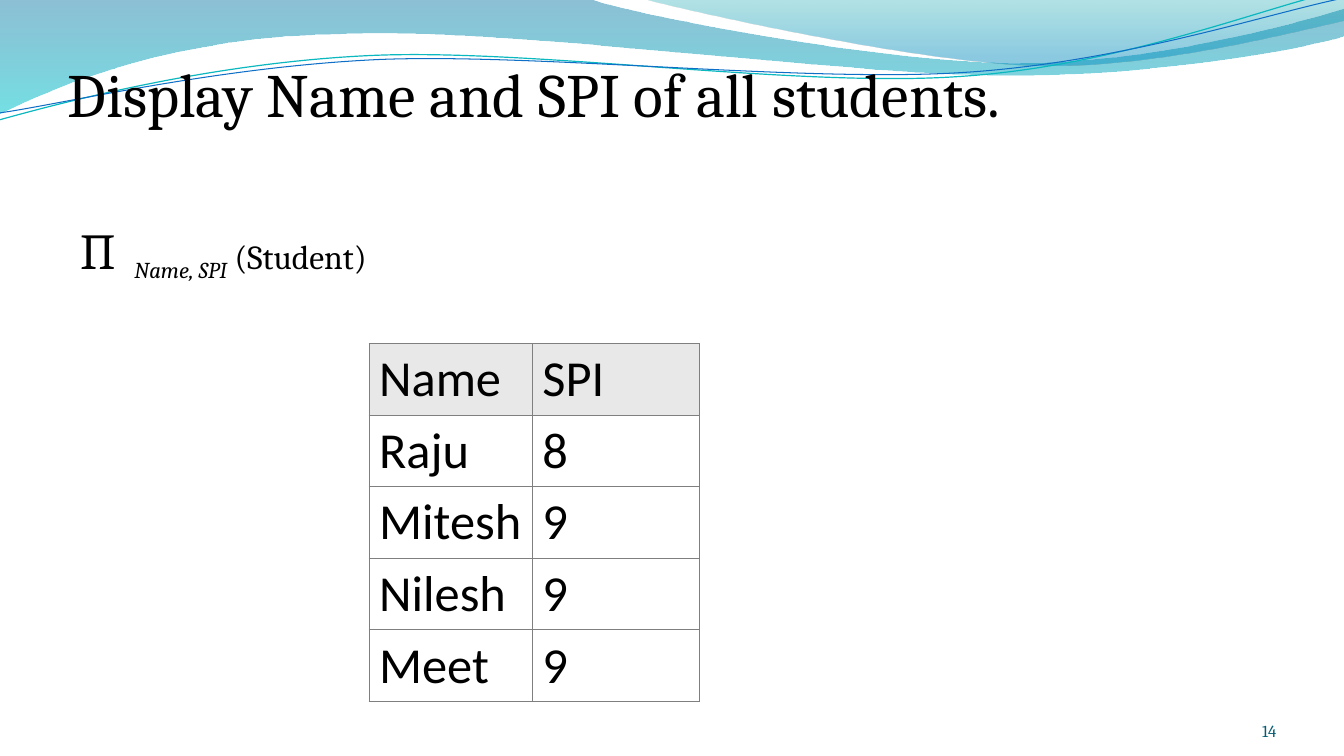
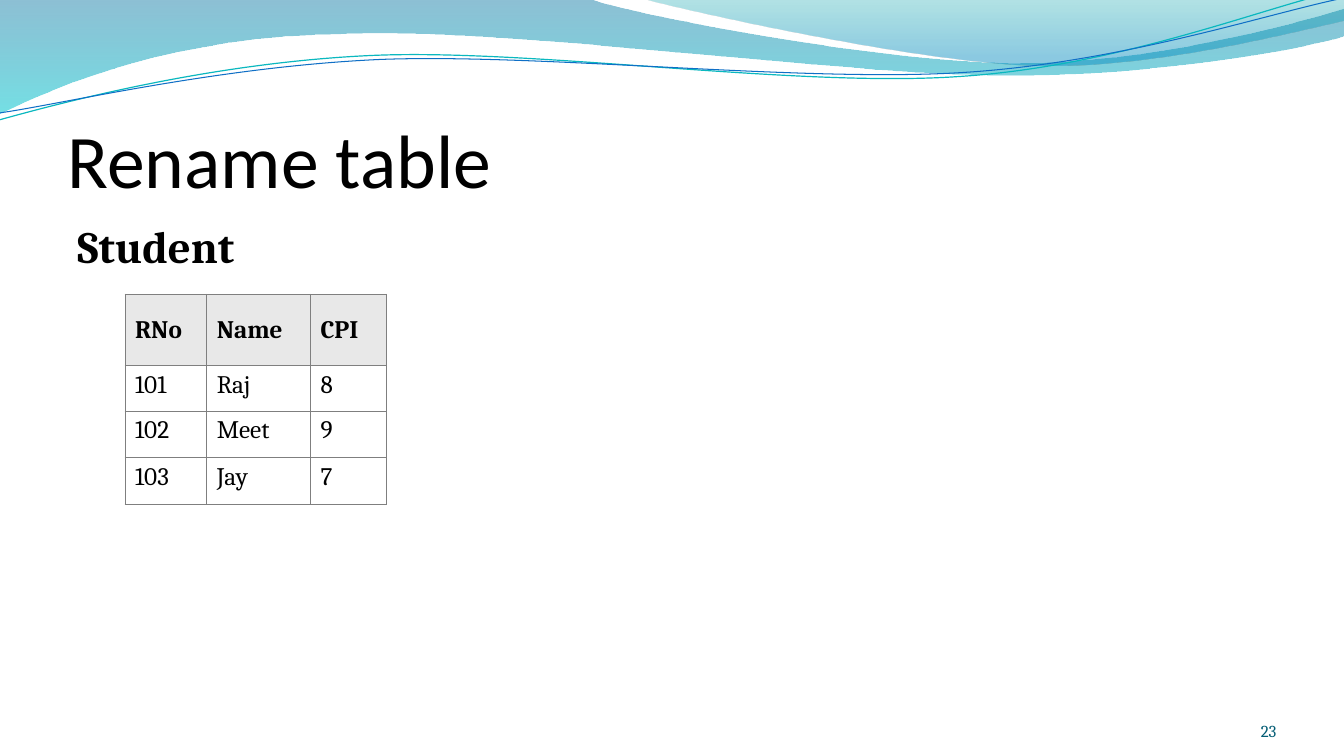
from lxml import etree
from pptx import Presentation
from pptx import util as u
from pptx.dml.color import RGBColor
from pptx.enum import text
from pptx.oxml.ns import qn

PX = 9144

BLACK = RGBColor(0x00, 0x00, 0x00)
WHITE = RGBColor(0xFF, 0xFF, 0xFF)
HEADER_GREY = RGBColor(0xE8, 0xE8, 0xE8)
BORDER_GREY = RGBColor(0x7F, 0x7F, 0x7F)
NUMBER_TEAL = RGBColor(0x04, 0x5D, 0x75)
DEEP_BLUE = RGBColor(0x00, 0x74, 0xA1)
CYAN = RGBColor(0x00, 0xC6, 0xCF)
DARK_TEAL = RGBColor(0x00, 0xA1, 0xA9)
SKY_BLUE = RGBColor(0x00, 0x8B, 0xBF)
LINE_TEAL = RGBColor(0x0A, 0xB8, 0xBF)
LINE_BLUE = RGBColor(0x0F, 0x6F, 0xC6)

SERIF = "Cambria"
SANS = "Calibri"

PAGE = (1333, 750)
TITLE_BOX = (67, 77, 1200, 125)
RAISED_TITLE_BOX = (67, 4, 1200, 125)
BODY_BOX = (67, 212, 1200, 480)
NUMBER_BOX = (1155, 695, 111, 40)

WAVES = [
    {
        "outline": [
            (-1, 0), (587, 0),
            (634, 17, 884, 63, 1011, 63), (1137, 63, 1277, 26, 1333, 9),
            (1334, 36),
            (1311, 44, 1159, 76, 994, 75), (829, 75, 509, 28, 343, 34),
            (172, 36, 61, 83, -1, 113),
        ],
        "stops": [(0, DEEP_BLUE, 45), (1, CYAN, 55)],
    },
    {
        "outline": [
            (639, 0), (679, 11, 909, 62, 1025, 65),
            (1140, 69, 1282, 32, 1333, 21), (1333, 0),
        ],
        "stops": [(0, DARK_TEAL, 30), (0.8, SKY_BLUE, 45)],
    },
    {
        "outline": [
            (-1, 119), (64, 101, 211, 62, 369, 55),
            (527, 48, 789, 87, 950, 76), (1110, 66, 1251, 8, 1331, -10),
        ],
        "line": (LINE_TEAL, 0.85),
    },
    {
        "outline": [
            (0, 112), (63, 103, 218, 66, 378, 59),
            (537, 53, 796, 82, 955, 72), (1114, 62, 1255, 14, 1333, -2),
        ],
        "line": (LINE_BLUE, 0.75),
    },
]


def px(*lengths):
    return [u.Emu(length * PX) for length in lengths]


def set_values(target, values):
    for name, value in values.items():
        setattr(target, name, value)


def add_run(paragraph, words, size, font=SERIF, color=BLACK, baseline=0, **values):
    run = paragraph.add_run()
    run.text = words
    set_values(run.font, {"name": font, "size": u.Pt(size), **values})
    run.font.color.rgb = color
    if baseline:
        run.font._element.set("baseline", str(baseline * 1000))


def add_text(slide, box, runs, margins=(10, 5, 10, 5),
             anchor=text.MSO_ANCHOR.TOP, align=text.PP_ALIGN.LEFT):
    frame = slide.shapes.add_textbox(*px(*box)).text_frame
    left, top, right, bottom = px(*margins)
    set_values(frame, {
        "word_wrap": True, "vertical_anchor": anchor,
        "margin_left": left, "margin_top": top,
        "margin_right": right, "margin_bottom": bottom,
    })
    paragraph = frame.paragraphs[0]
    paragraph.alignment = align
    for run in runs:
        add_run(paragraph, **run)


def add_outline(slide, outline, close):
    points = [px(*segment[i:i + 2]) for segment in outline for i in range(0, len(segment), 2)]
    builder = slide.shapes.build_freeform(*points[0], scale=1.0)
    builder.add_line_segments(points[1:], close=close)
    shape = builder.convert_to_shape()
    lines = shape._element.spPr.iter(qn("a:lnTo"))
    lines = iter(list(lines))
    for segment in outline[1:]:
        first = next(lines)
        if len(segment) == 6:
            first.tag = qn("a:cubicBezTo")
            for line in (next(lines), next(lines)):
                first.append(line[0])
                line.getparent().remove(line)
    return shape


def fill_gradient(shape, stops):
    shape.fill.gradient()
    shape.fill.gradient_angle = 270
    for stop, (position, color, opacity) in zip(shape.fill.gradient_stops, stops):
        stop.position = position
        stop.color.rgb = color
    colors = shape._element.spPr.iter(qn("a:srgbClr"))
    for element, (position, color, opacity) in zip(colors, stops):
        etree.SubElement(element, qn("a:alpha")).set("val", str(opacity * 1000))


def add_wave(slide, outline, stops=None, line=None):
    shape = add_outline(slide, outline, close=bool(stops))
    shape.shadow.inherit = False
    if stops:
        fill_gradient(shape, stops)
        shape.line.fill.background()
    else:
        color, width = line
        shape.fill.background()
        shape.line.color.rgb = color
        shape.line.width = u.Pt(width)


def add_borders(cell):
    properties = cell._tc.get_or_add_tcPr()
    for index, side in enumerate(("lnL", "lnR", "lnT", "lnB")):
        border = etree.Element(qn(f"a:{side}"), w=str(u.Pt(0.75)))
        fill = etree.SubElement(border, qn("a:solidFill"))
        etree.SubElement(fill, qn("a:srgbClr")).set("val", str(BORDER_GREY))
        properties.insert(index, border)


def add_grid(slide, corner, widths, heights, rows, header_bold=False, **style):
    frame = slide.shapes.add_table(
        len(rows), len(widths), *px(*corner, sum(widths), sum(heights)))
    table = frame.table
    table.horz_banding = False
    for column, width in zip(table.columns, px(*widths)):
        column.width = width
    for row, height in zip(table.rows, px(*heights)):
        row.height = height
    for row_index, row in enumerate(rows):
        header = row_index == 0
        for column_index, words in enumerate(row):
            cell = table.cell(row_index, column_index)
            cell.fill.solid()
            cell.fill.fore_color.rgb = HEADER_GREY if header else WHITE
            cell.vertical_anchor = text.MSO_ANCHOR.MIDDLE if header else text.MSO_ANCHOR.TOP
            add_run(cell.text_frame.paragraphs[0], words,
                    bold=header and header_bold, **style)
            add_borders(cell)


def add_base(presentation, title, title_box, number):
    slide = presentation.slides.add_slide(presentation.slide_layouts[6])
    for wave in WAVES:
        add_wave(slide, **wave)
    add_text(slide, title_box, [title], (0, 5, 0, 0), text.MSO_ANCHOR.BOTTOM)
    add_text(slide, NUMBER_BOX, [{"words": number, "size": 12, "color": NUMBER_TEAL}],
             (0, 0, 0, 0), text.MSO_ANCHOR.BOTTOM, text.PP_ALIGN.RIGHT)
    return slide


def add_projection_slide(presentation):
    title = {"words": "Display Name and SPI of all students.", "size": 44}
    slide = add_base(presentation, title, RAISED_TITLE_BOX, "14")
    add_text(slide, BODY_BOX, [
        {"words": "∏ ", "size": 36},
        {"words": " Name, SPI", "size": 28, "italic": True, "baseline": -25},
        {"words": " (Student)", "size": 24},
    ])
    rows = [("Name", "SPI"), ("Raju", "8"), ("Mitesh", "9"), ("Nilesh", "9"), ("Meet", "9")]
    add_grid(slide, (366, 341), (162, 166), [71] * len(rows), rows, size=36, font=SANS)


def add_rename_slide(presentation):
    title = {"words": "Rename table", "size": 54, "font": SANS}
    slide = add_base(presentation, title, TITLE_BOX, "23")
    rows = [("RNo", "Name", "CPI"), ("101", "Raj", "8"), ("102", "Meet", "9"), ("103", "Jay", "7")]
    add_grid(slide, (124, 292), (81, 103, 75), (71, 45, 46, 46), rows,
             header_bold=True, size=18)
    add_text(slide, BODY_BOX, [{"words": "Student", "size": 32, "bold": True}])


def main():
    presentation = Presentation()
    presentation.slide_width, presentation.slide_height = px(*PAGE)
    add_projection_slide(presentation)
    add_rename_slide(presentation)
    presentation.save("out.pptx")


if __name__ == "__main__":
    main()
